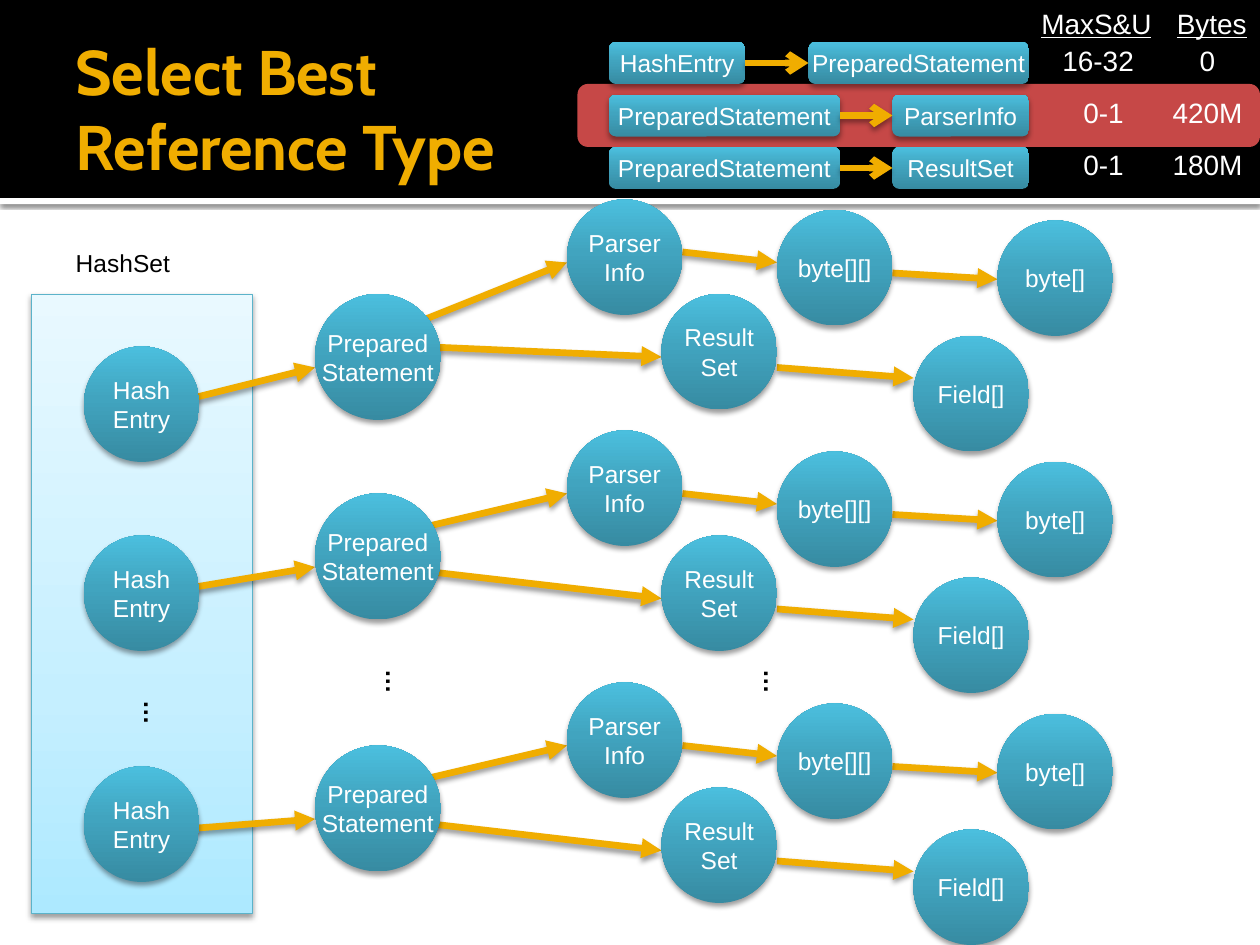
import pptx
import pptx.util
import pptx.dml.color
import pptx.enum.shapes
import pptx.enum.text
import pptx.oxml
import pptx.oxml.ns
from lxml import etree

SHAPE = pptx.enum.shapes.MSO_SHAPE
ALIGN = pptx.enum.text.PP_ALIGN
ANCHOR = pptx.enum.text.MSO_ANCHOR
GOLD, BLACK, WHITE = "F0AD00", "000000", "FFFFFF"
BLUE = [(0, "378BA2"), (55, "41A4BF"), (100, "4BBFDE")]
PALE_BLUE = [(0, "ADE9FF"), (35, "C5EFFF"), (100, "E9F9FF")]
CIRCLE = 11  # usual diameter, in grid steps


def grid(steps):
    """The slide is laid out on a grid of twelve steps to the inch."""
    return pptx.util.Cm(steps * 2.54 / 12)


def colour(hex_string):
    return pptx.dml.color.RGBColor.from_string(hex_string)


def add_element(parent, tag, **attributes):
    values = {name: str(value) for name, value in attributes.items()}
    return etree.SubElement(parent, pptx.oxml.ns.qn(tag), values)


def write_text(shape, text, size=14, font="Arial", fill=WHITE, bold=False,
               underline=False, align=ALIGN.CENTER, anchor=ANCHOR.MIDDLE, wrap=False):
    frame = shape.text_frame
    frame.text = text
    frame.word_wrap = wrap
    frame.vertical_anchor = anchor
    for paragraph in frame.paragraphs:
        paragraph.alignment = align
        for run in paragraph.runs:
            run.font.size = pptx.util.Pt(size)
            run.font.name = font
            run.font.bold = bold
            run.font.underline = underline
            run.font.color.rgb = colour(fill)


def cast_shadow(effects, opacity=38, blur=3.1, distance=2):
    shadow = add_element(effects, "a:outerShdw", blurRad=pptx.util.Pt(blur),
                         dist=pptx.util.Pt(distance), dir=5400000,
                         algn="ctr", rotWithShape=0)
    black = add_element(shadow, "a:srgbClr", val=BLACK)
    add_element(black, "a:alpha", val=opacity * 1000)


class Diagram:
    def __init__(self, slide):
        self.slide = slide

    def shape(self, kind, left, top, width, height, fill, line=None, shadow=None):
        """A preset shape; fill is a hex colour or a list of gradient stops."""
        shape = self.slide.shapes.add_shape(
            kind, grid(left), grid(top), grid(width), grid(height))
        if isinstance(fill, str):
            shape.fill.solid()
            shape.fill.fore_color.rgb = colour(fill)
        else:
            shape.fill.gradient()
            shape.fill.gradient_angle = 90
            stops = shape.element.spPr.find(".//" + pptx.oxml.ns.qn("a:gsLst"))
            stops.clear()
            for position, stop_colour in fill:
                stop = add_element(stops, "a:gs", pos=position * 1000)
                add_element(stop, "a:srgbClr", val=stop_colour)
        if line:
            shape.line.color.rgb = colour(line)
            shape.line.width = pptx.util.Pt(0.5)
        else:
            shape.line.fill.background()
        shape.shadow.inherit = False
        if shadow is not None:
            cast_shadow(shape.element.spPr.find(pptx.oxml.ns.qn("a:effectLst")), **shadow)
        return shape

    def circle(self, left, top, text, size=CIRCLE):
        shape = self.shape(SHAPE.OVAL, left, top, size, size, BLUE, shadow={})
        write_text(shape, text)

    def box(self, left, top, width, text):
        shape = self.shape(SHAPE.ROUNDED_RECTANGLE, left, top, width, 4, BLUE, shadow={})
        write_text(shape, text)
        return shape

    def arrow(self, start, end, head="triangle"):
        connector = self.slide.shapes.add_connector(
            pptx.enum.shapes.MSO_CONNECTOR.STRAIGHT, *map(grid, (*start, *end)))
        connector.line.color.rgb = colour(GOLD)
        connector.line.width = pptx.util.Pt(3.82)
        add_element(connector.line._get_or_add_ln(), "a:tailEnd", type=head)
        cast_shadow(add_element(connector.element.spPr, "a:effectLst"))
        return connector

    def join(self, first, second):
        connector = self.arrow((0, 0), (1, 1), head="arrow")
        connector.begin_connect(first, 3)
        connector.end_connect(second, 1)

    def label(self, left, top, width, height, text, rotation=0, **text_format):
        label = self.slide.shapes.add_textbox(
            grid(left), grid(top), grid(width), grid(height))
        label.rotation = rotation
        write_text(label, text, **{"anchor": ANCHOR.TOP, **text_format})
        return label


def draw_header(diagram):
    diagram.shape(SHAPE.RECTANGLE, 0, 18.85, 120, 0.6, WHITE,
                  shadow={"opacity": 60, "blur": 2.5, "distance": 0.8})
    diagram.shape(SHAPE.RECTANGLE, 0, 0, 120, 18.85, BLACK)
    diagram.shape(SHAPE.ROUNDED_RECTANGLE, 55, 8, 65, 6, "C64847")
    title = diagram.label(6, 2, 51, 16.5, "Select Best Reference Type", size=36,
                          font="Cabin", fill=GOLD, bold=True, align=ALIGN.LEFT,
                          anchor=ANCHOR.MIDDLE, wrap=True)
    title.text_frame.margin_right = pptx.util.Cm(0.13)


def draw_references(diagram):
    # Each reference: owner, its width, target, its left and width
    references = [("HashEntry", 13, "PreparedStatement", 77, 21),
                  ("PreparedStatement", 22, "ParserInfo", 85, 13),
                  ("PreparedStatement", 22, "ResultSet", 85, 13)]
    for row, (owner, owner_width, target, left, width) in enumerate(references):
        top = 4 + 5 * row
        diagram.join(diagram.box(58, top, owner_width, owner),
                     diagram.box(left, top, width, target))

    # Columns of figures
    figures = [(98, 0, 14, "MaxS&U"), (100, 3.6, 10, "16-32"),
               (102, 8.5, 8, "0-1"), (102, 13.5, 8, "0-1"),
               (110.9, 0, 10.2, "Bytes"), (111, 3.6, 8, "0"),
               (110, 8.5, 10, "420M"), (110, 13.5, 10, "180M")]
    for left, top, width, text in figures:
        heading = top == 0
        left_aligned = heading or left < 110
        diagram.label(left, top, width, 4.4, text, size=16, underline=heading, wrap=True,
                      align=ALIGN.LEFT if left_aligned else ALIGN.CENTER)


def draw_chain(diagram, base, hash_top, prepared_top, parser_top, branches):
    """One hash entry with everything it refers to."""
    shared = [((65, base + 6), (74, base + 7)),
              ((85, base + 8), (95, base + 8.6)),
              ((74, base + 17), (87, base + 18))]
    for start, end in branches + shared:
        diagram.arrow(start, end)
    diagram.circle(8, hash_top, "Hash\nEntry")
    diagram.circle(30, prepared_top, "Prepared\nStatement", size=12)
    diagram.circle(54, parser_top, "Parser\nInfo")
    diagram.circle(63, base + 10, "Result\nSet")
    diagram.circle(74, base + 2, "byte[][]")
    diagram.circle(95, base + 3, "byte[]")
    diagram.circle(87, base + 14, "Field[]")


def main():
    presentation = pptx.Presentation()
    presentation.slide_width = grid(120)
    presentation.slide_height = grid(90)
    diagram = Diagram(presentation.slides.add_slide(presentation.slide_layouts[6]))

    draw_header(diagram)

    # Hash set
    diagram.shape(SHAPE.RECTANGLE, 3, 28, 21, 59, PALE_BLUE, line="5BB3CA",
                  shadow={"blur": 3.5})
    diagram.label(6, 23, 11.4, 4, "HashSet", fill=BLACK)
    for left, top in [(12.25, 65.9), (71.3, 62.9), (35.3, 62.9)]:
        diagram.label(left, top, 4.8, 4, "…", rotation=90, fill=BLACK, bold=True)

    # Reference chains; the first has a layout of its own
    draw_chain(diagram, 18, 33, 28, 19, [((18, 38), (30, 35)),
                                         ((39, 31), (54, 25)),
                                         ((40, 33), (63, 34))])
    for base, hash_top, hash_arrow in [(41, 51, ((18, 56), (30, 54))),
                                       (65, 73, ((17, 79), (30, 78)))]:
        draw_chain(diagram, base, hash_top, base + 6, base,
                   [hash_arrow, ((37, base + 10), (54, base + 6)),
                    ((37, base + 13), (63, base + 16))])

    draw_references(diagram)
    presentation.save("out.pptx")


if __name__ == "__main__":
    main()
